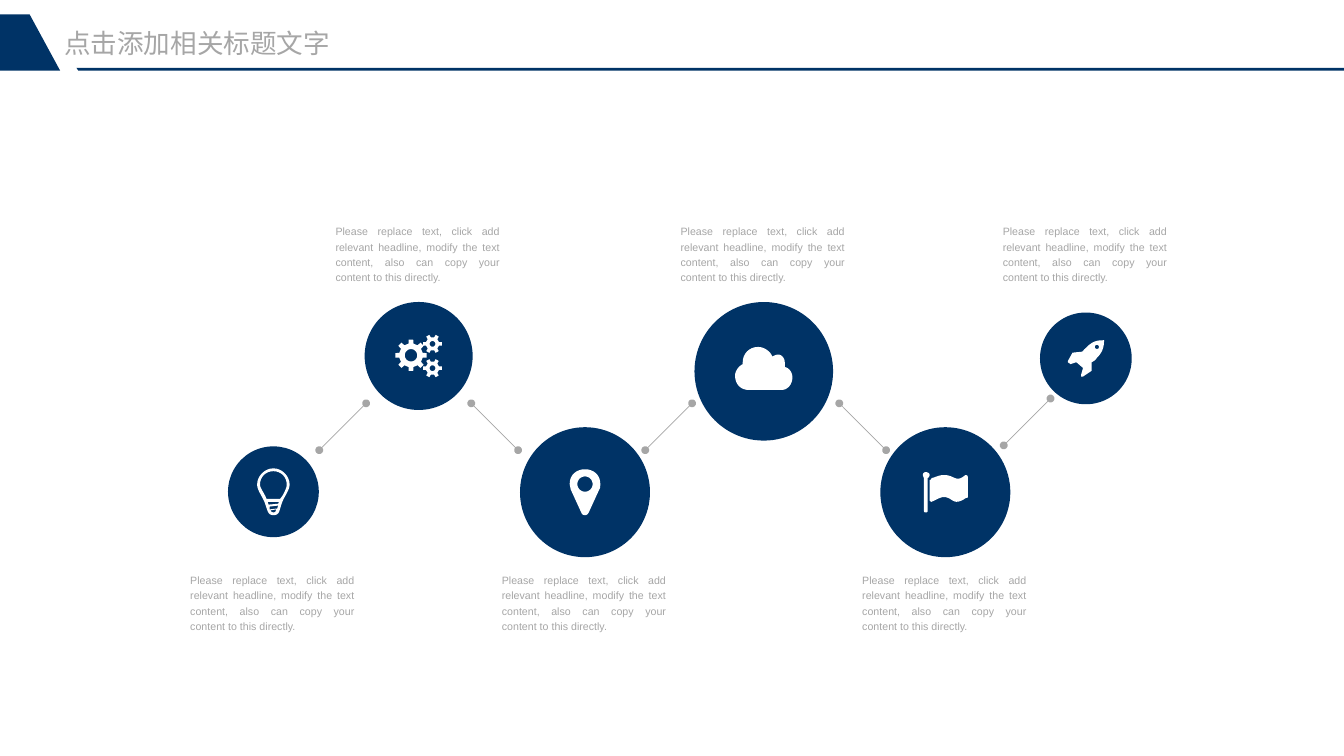
from math import cos, pi, sin

from lxml.etree import SubElement
from pptx import Presentation
from pptx.dml.color import RGBColor
from pptx.enum.shapes import MSO_CONNECTOR, MSO_SHAPE
from pptx.enum.text import MSO_ANCHOR, MSO_AUTO_SIZE, PP_ALIGN
from pptx.oxml.ns import qn
from pptx.util import Inches, Pt

COLORS = {"navy": "003366", "gray": "A6A6A6", "white": "FFFFFF"}
FONT = "Arial"
WIDE, HIGH = 14.06, 7.91
TITLE = "点击添加相关标题文字"
NOTE = ("Please replace text, click add relevant headline, modify the text "
        "content, also can copy your content to this directly.")


def color(name):
    """Return a named colour."""
    return RGBColor.from_string(COLORS[name])


def paint(shape, name):
    """Give a shape a plain fill with no line or shadow."""
    shape.shadow.inherit = False
    shape.fill.solid()
    shape.fill.fore_color.rgb = color(name)
    shape.line.fill.background()


def trace(*steps):
    """Turn points (x, y) and Bezier steps of six numbers into an outline."""
    points = [steps[0]]
    for step in steps[1:]:
        if len(step) == 2:
            points.append(step)
            continue
        start = points[-1]
        for i in range(1, 9):
            t = i / 8
            u = 1 - t
            points.append(tuple(
                u**3 * start[k] + 3 * u * u * t * step[k]
                + 3 * u * t * t * step[k + 2] + t**3 * step[k + 4]
                for k in (0, 1)))
    return points


def ring(x, y, r, count=32):
    """Return the outline of a circle."""
    turns = [2 * pi * i / count for i in range(count)]
    return [(x + r * cos(a), y + r * sin(a)) for a in turns]


def gear(x, y, r, root, hole, teeth):
    """Return the toothed rim and the hole of a gear."""
    rim = []
    for i in range(teeth):
        for part, size in ((-0.26, root), (-0.18, r), (0.18, r), (0.26, root)):
            a = 2 * pi * (i + part) / teeth
            rim.append((x + size * cos(a), y + size * sin(a)))
    return [rim, ring(x, y, hole)]


# Icon outlines, in hundredths of an inch
BULB = [
    trace((17, 0), (8, 0, 0, 8, 0, 17), (0, 23, 6, 30, 8, 36),
          (11, 44, 11, 49, 17, 49), (24, 49, 23, 44, 26, 36),
          (28, 30, 34, 23, 34, 17), (34, 8, 26, 0, 17, 0)),
    trace((24, 32), (10, 32), (9, 31, 9, 29, 8, 28), (6, 24, 3, 20, 3, 17),
          (3, 9, 9, 3, 17, 3), (25, 3, 31, 9, 31, 17),
          (31, 20, 29, 24, 27, 28), (26, 29, 25, 31, 24, 32)),
    trace((11, 35), (23, 35), (22, 37), (12, 38)),
    trace((13, 40), (22, 39), (21, 42), (13, 43)),
    trace((14, 44), (20, 43), (19, 46, 19, 46, 17, 46),
          (16, 46, 15, 46, 14, 44)),
]
PIN = [
    trace((31, 21), (20, 45), (19, 47, 18, 48, 16, 48),
          (15, 48, 13, 48, 12, 45), (1, 21), (1, 20, 0, 17, 0, 15),
          (0, 6, 7, 0, 16, 0), (25, 0, 32, 6, 32, 15),
          (32, 17, 32, 20, 31, 21)),
    ring(16, 15.5, 8),
]
ROCKET = [
    trace((30, 19), (29, 21, 27, 22, 25, 23), (25, 32), (16, 38), (14, 38),
          (14, 36), (16, 29), (9, 23), (3, 25), (0, 23), (0, 22), (5, 13),
          (15, 12), (16, 11, 18, 9, 19, 8), (25, 2, 29, 0, 37, 0), (38, 0),
          (38, 8, 36, 13, 30, 19)),
    ring(30.5, 7, 2.2),
]
CLOUD = [
    trace((49, 45), (14, 45), (6, 45, 0, 39, 0, 30), (0, 25, 4, 20, 8, 18),
          (8, 16), (8, 7, 15, 0, 24, 0), (31, 0, 37, 5, 39, 10),
          (41, 9, 43, 8, 45, 8), (49, 8, 52, 12, 52, 16),
          (52, 18, 52, 20, 52, 21), (57, 22, 60, 27, 60, 32),
          (60, 39, 55, 45, 49, 45)),
]
FLAG = [
    trace((5, 6), (5, 41), (4, 42), (2, 42), (1, 41), (1, 6),
          (1, 6, 0, 4, 0, 3), (0, 1, 1, 0, 3, 0), (5, 0, 7, 1, 7, 3),
          (7, 4, 6, 6, 5, 6)),
    trace((47, 26), (47, 26, 47, 27, 45, 27), (42, 29, 39, 31, 35, 31),
          (31, 31, 28, 26, 22, 26), (18, 26, 14, 29, 9, 31),
          (8, 31, 7, 30, 7, 29), (7, 9), (7, 9, 7, 8, 8, 8),
          (9, 7, 9, 6, 10, 6), (14, 5, 17, 3, 22, 3), (26, 3, 29, 4, 33, 6),
          (40, 9, 43, 3, 45, 3), (46, 3, 47, 4, 47, 5)),
]
GEARS = (gear(16.5, 22, 16.5, 12.5, 6.5, 8)
         + gear(39, 10, 10, 7, 3, 6) + gear(39, 35.5, 10, 7, 3, 6))

# Circle centre x, top, size, icon, icon lift, note top
STOPS = [
    (2.86, 4.67, 0.95, BULB, 0, 5.98),
    (4.38, 3.16, 1.13, GEARS, 0, 2.33),
    (6.12, 4.47, 1.36, PIN, 0, 5.98),
    (7.99, 3.16, 1.45, CLOUD, 0.03, 2.33),
    (9.89, 4.47, 1.36, FLAG, 0, 5.98),
    (11.36, 3.27, 0.96, ROCKET, 0, 2.33),
]
# Left and top of each link
LINKS = [(3.34, 4.22), (4.93, 4.22), (6.75, 4.22), (8.78, 4.22), (10.5, 4.17)]


def draw(shapes, outlines, name, unit=1):
    """Draw outlines as one freeform, where unit is inches per step."""
    scaled = [[(Inches(x * unit), Inches(y * unit)) for x, y in line]
              for line in outlines]
    form = shapes.build_freeform(*scaled[0][0])
    form.add_line_segments(scaled[0][1:])
    for line in scaled[1:]:
        form.move_to(*line[0])
        form.add_line_segments(line[1:])
    shape = form.convert_to_shape()
    paint(shape, name)
    return shape


def add_head(slide, left, top, width, height):
    """Place the title, the corner block and the rule in the header box."""
    base = top + height
    draw(slide.shapes, [[(left + 0.8, base - 0.03), (left + width, base - 0.03),
                         (left + width, base), (left + 0.82, base)]], "navy")
    draw(slide.shapes, [[(left, top), (left + 0.31, top),
                         (left + 0.63, base), (left, base)]], "navy")
    title = slide.shapes.title
    title.left, title.top = Inches(left + 0.67), Inches(top + 0.13)
    title.width, title.height = Inches(3.35), Inches(0.34)
    fill_text(title.text_frame, TITLE, 20, PP_ALIGN.LEFT)


def fill_text(frame, text, size, align):
    """Set gray text in a frame without margins."""
    frame.margin_left = frame.margin_right = 0
    frame.margin_top = frame.margin_bottom = 0
    frame.word_wrap = True
    frame.auto_size = MSO_AUTO_SIZE.NONE
    frame.vertical_anchor = MSO_ANCHOR.TOP
    frame.text = text
    para = frame.paragraphs[0]
    para.alignment = align
    para.font.name, para.font.size = FONT, Pt(size)
    para.font.color.rgb = color("gray")
    return para


def add_stop(slide, left, top, size, icon, lift):
    """Group a circle in the given box with its centred icon."""
    group = slide.shapes.add_group_shape().shapes
    disc = group.add_shape(MSO_SHAPE.OVAL, Inches(left), Inches(top),
                           Inches(size), Inches(size))
    paint(disc, "navy")
    mark = draw(group, icon, "white", 0.01)
    mark.left = Inches(left + size / 2) - mark.width // 2
    mark.top = Inches(top + size / 2 - lift) - mark.height // 2


def add_note(slide, left, top, width, height):
    """Place a justified note in the given box."""
    box = slide.shapes.add_textbox(Inches(left), Inches(top),
                                   Inches(width), Inches(height))
    fill_text(box.text_frame, NOTE, 8, PP_ALIGN.JUSTIFY).line_spacing = 1.2


def add_link(slide, left, top, size, rising):
    """Draw a dotted-end diagonal across the given box."""
    ends = (top + size, top) if rising else (top, top + size)
    link = slide.shapes.add_connector(
        MSO_CONNECTOR.STRAIGHT, Inches(left), Inches(ends[0]),
        Inches(left + size), Inches(ends[1]))
    link.line.color.rgb = color("gray")
    link.line.width = Pt(0.5)
    line = link.line._get_or_add_ln()
    for tag in ("a:headEnd", "a:tailEnd"):
        SubElement(line, qn(tag), type="oval")
    SubElement(link._element.spPr, qn("a:effectLst"))


deck = Presentation()
deck.slide_width, deck.slide_height = Inches(WIDE), Inches(HIGH)
slide = deck.slides.add_slide(deck.slide_layouts[5])
add_head(slide, 0, 0.15, WIDE, 0.59)
for mid, top, size, icon, lift, note in STOPS:
    add_stop(slide, mid - size / 2, top, size, icon, lift)
    add_note(slide, mid - 0.87, note, 1.72, 0.63)
for i, (left, top) in enumerate(LINKS):
    add_link(slide, left, top, 0.49, i % 2 == 0)
deck.save("out.pptx")
